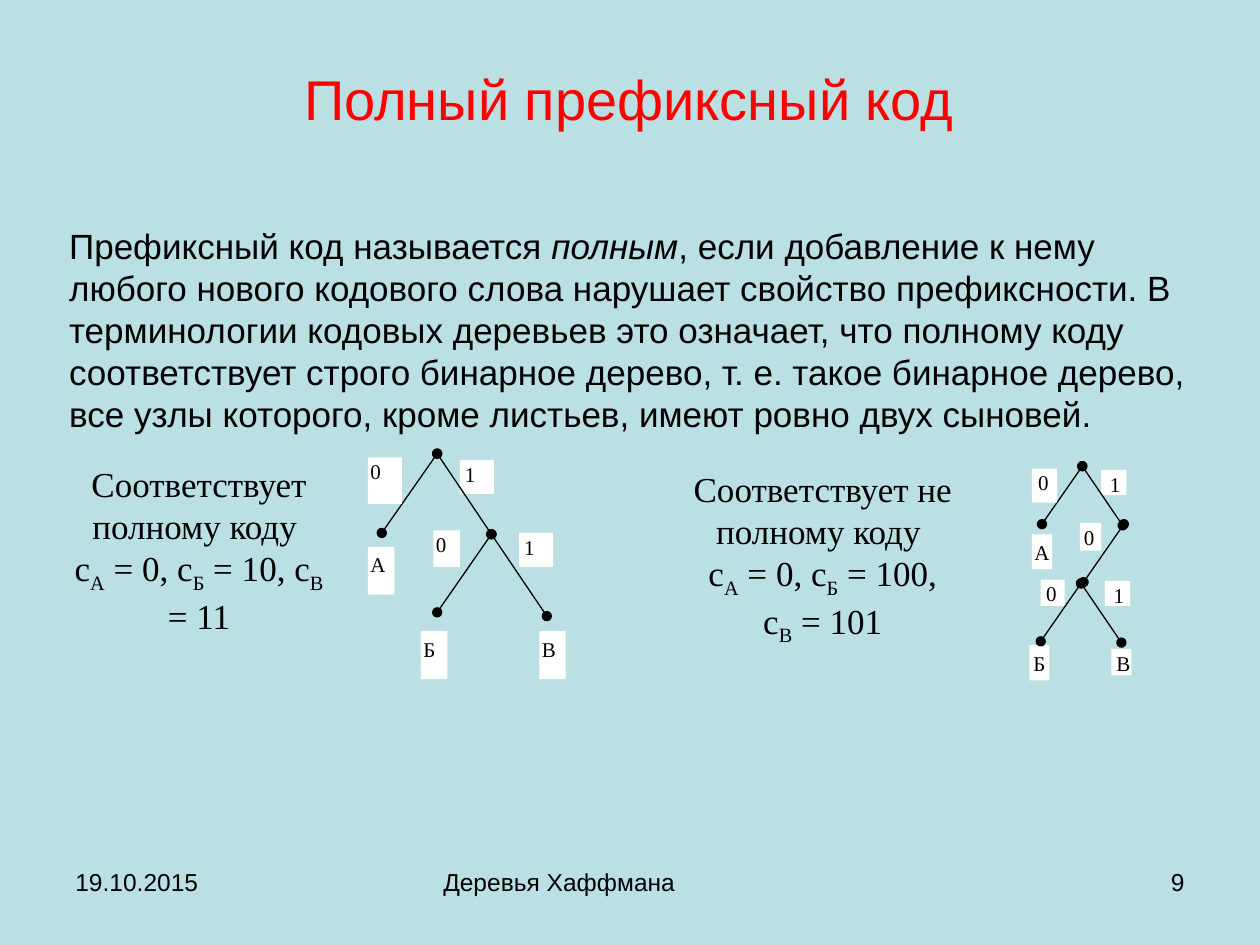
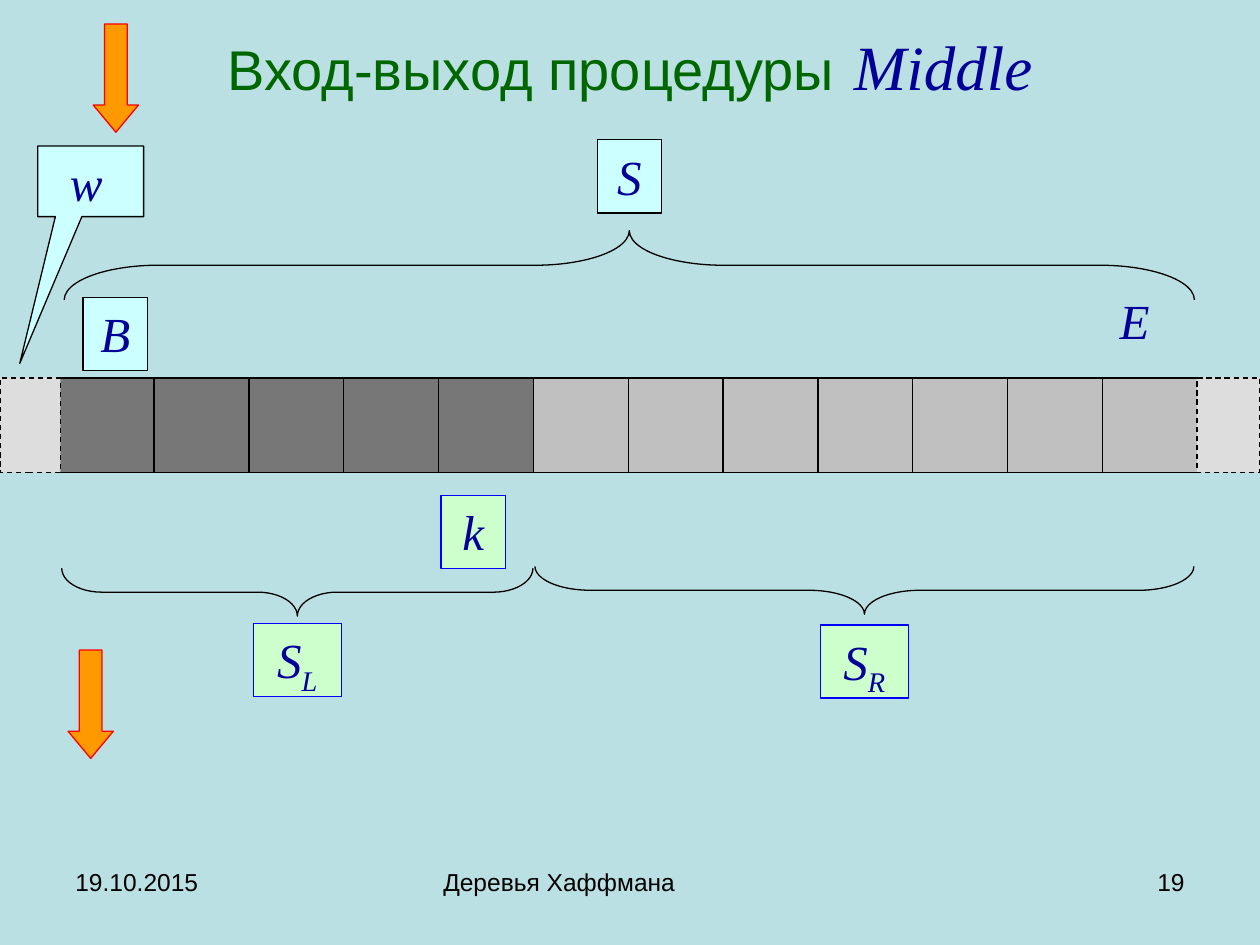
from lxml import etree
from pptx import Presentation
from pptx.dml.color import RGBColor
from pptx.enum.dml import MSO_LINE
from pptx.enum.shapes import MSO_CONNECTOR, MSO_SHAPE as SHAPE
from pptx.enum.text import MSO_ANCHOR as ANCHOR, PP_ALIGN as ALIGN
from pptx.oxml.ns import qn
from pptx.util import Inches, Pt

BACKGROUND = RGBColor(0xBB, 0xE0, 0xE3)
BLACK = RGBColor(0, 0, 0)
WHITE = RGBColor(0xFF, 0xFF, 0xFF)
RED = RGBColor(0xFF, 0, 0)
GREEN = RGBColor(0, 0x66, 0)
NAVY = RGBColor(0, 0, 0x99)
BLUE = RGBColor(0, 0, 0xFF)
ORANGE = RGBColor(0xFF, 0x99, 0)
PALE_CYAN = RGBColor(0xCC, 0xFF, 0xFF)
PALE_GREEN = RGBColor(0xCC, 0xFF, 0xCC)
DARK_GREY = RGBColor(0x77, 0x77, 0x77)
MID_GREY = RGBColor(0xC0, 0xC0, 0xC0)
LIGHT_GREY = RGBColor(0xDD, 0xDD, 0xDD)

SANS = "Arial"
SERIF = "Times New Roman"
LINE_WIDTH = Pt(0.75)

ZERO_INSETS = (0.02, 0.01, 0.04, 0.01)
ONE_INSETS = (0.04, 0.01, 0.02, 0.01)
LEAF_INSETS = (0.02, 0.04, 0.02, 0.04)


def add_run(p, text, size, font=SANS, color=BLACK, italic=False, sub=False):
    r = p.add_run()
    r.text = text
    r.font.size = Pt(size)
    r.font.name = font
    r.font.color.rgb = color
    r.font.italic = italic
    if sub:
        r._r.get_or_add_rPr().set("baseline", "-25000")


def set_frame(sp, anchor=ANCHOR.TOP, insets=(0.1, 0.05, 0.1, 0.05)):
    tf = sp.text_frame
    tf.word_wrap = True
    tf.vertical_anchor = anchor
    tf.margin_left, tf.margin_top, tf.margin_right, tf.margin_bottom = map(Inches, insets)
    return tf


def add_text(slide, box, align=ALIGN.LEFT, anchor=ANCHOR.TOP):
    sp = slide.shapes.add_textbox(*map(Inches, box))
    p = set_frame(sp, anchor).paragraphs[0]
    p.alignment = align
    return p


def add_title(slide, box):
    return add_text(slide, box, ALIGN.CENTER, ANCHOR.MIDDLE)


def add_shape(slide, kind, box, fill=None, line=BLACK, adjustments=(), rotation=0, dashed=False):
    sp = slide.shapes.add_shape(kind, *map(Inches, box))
    sp.shadow.inherit = False
    sp.rotation = rotation
    for i, value in enumerate(adjustments):
        sp.adjustments[i] = value
    if fill is None:
        sp.fill.background()
    else:
        sp.fill.solid()
        sp.fill.fore_color.rgb = fill
    if line is None:
        sp.line.fill.background()
    else:
        sp.line.color.rgb = line
        sp.line.width = LINE_WIDTH
    if dashed:
        sp.line.dash_style = MSO_LINE.DASH
    return sp


def add_edge(slide, start, end):
    edge = slide.shapes.add_connector(MSO_CONNECTOR.STRAIGHT, *map(Inches, start + end))
    edge.line.color.rgb = BLACK
    edge.line.width = LINE_WIDTH
    ln = edge.line._get_or_add_ln()
    for tag in ("a:headEnd", "a:tailEnd"):
        etree.SubElement(ln, qn(tag), type="oval")
    etree.SubElement(edge._element.spPr, qn("a:effectLst"))


def add_node_labels(slide, labels, align):
    for text, box, insets in labels:
        sp = add_shape(slide, SHAPE.RECTANGLE, box, WHITE, None)
        p = set_frame(sp, insets=insets).paragraphs[0]
        p.alignment = align
        add_run(p, text, 12, SERIF)


def add_tree(slide, labels_below, edges, labels_above, align):
    add_node_labels(slide, labels_below, align)
    for start, end in edges:
        add_edge(slide, start, end)
    add_node_labels(slide, labels_above, align)


def add_code_caption(slide, left, top, heading, codes):
    p = add_text(slide, (left, top, 2.26, 1.45), ALIGN.CENTER)
    add_run(p, heading, 20, SERIF)
    p = p._parent.add_paragraph()
    p.alignment = ALIGN.CENTER
    for i, (letter, code) in enumerate(codes):
        add_run(p, "c" if i == 0 else ", c", 20, SERIF)
        add_run(p, letter, 20, SERIF, sub=True)
        add_run(p, f" = {code}", 20, SERIF)


def add_variable(slide, left, top, name, subscript="", fill=None, line=None, width=0.51):
    sp = add_shape(slide, SHAPE.RECTANGLE, (left, top, width, 0.58), fill, line)
    p = set_frame(sp).paragraphs[0]
    p.alignment = ALIGN.CENTER
    add_run(p, name, 28, SERIF, NAVY, True)
    if subscript:
        add_run(p, subscript, 28, SERIF, NAVY, True, True)


def add_slide(prs, number):
    slide = prs.slides.add_slide(prs.slide_layouts[6])
    slide.background.fill.solid()
    slide.background.fill.fore_color.rgb = BACKGROUND
    for text, left, width, align in (
        ("19.10.2015", 0.5, 2.33, ALIGN.LEFT),
        ("Деревья Хаффмана", 3.42, 3.17, ALIGN.LEFT),
        (str(number), 7.17, 2.33, ALIGN.RIGHT),
    ):
        add_run(add_text(slide, (left, 6.83, width, 0.52), align), text, 14)
    return slide


def build_prefix_code(prs):
    slide = add_slide(prs, 9)
    add_run(add_title(slide, (0.5, 0.3, 8.99, 0.95)), "Полный префиксный код", 32, color=RED)
    p = add_text(slide, (0.45, 1.73, 9.15, 1.77))
    add_run(p, "Префиксный код называется ", 20)
    add_run(p, "полным", 20, italic=True)
    add_run(p, ", если добавление к нему любого нового кодового слова нарушает "
               "свойство префиксности. В терминологии кодовых деревьев это означает, "
               "что полному коду соответствует строго бинарное дерево, т. е. такое "
               "бинарное дерево, все узлы которого, кроме листьев, имеют ровно двух "
               "сыновей.", 20)

    root, inner = (3.47, 3.6), (3.9, 4.24)
    add_tree(
        slide,
        [("1", (3.65, 3.65, 0.27, 0.27), ONE_INSETS),
         ("0", (3.44, 4.21, 0.21, 0.29), ZERO_INSETS)],
        [(root, (3.03, 4.23)), (root, inner), (inner, (4.34, 4.89)), (inner, (3.47, 4.86))],
        [("0", (2.92, 3.63, 0.27, 0.37), ZERO_INSETS),
         ("А", (2.92, 4.34, 0.21, 0.38), LEAF_INSETS),
         ("В", (4.28, 5.01, 0.21, 0.38), LEAF_INSETS),
         ("1", (4.12, 4.23, 0.27, 0.27), ONE_INSETS),
         ("Б", (3.34, 5.01, 0.21, 0.38), LEAF_INSETS)],
        ALIGN.LEFT,
    )
    add_code_caption(slide, 0.45, 3.62, "Соответствует полному коду ",
                     [("А", "0"), ("Б", "10"), ("В", "11")])

    root, right, inner = (8.59, 3.7), (8.91, 4.17), (8.58, 4.63)
    add_tree(
        slide,
        [("В", (8.82, 5.15, 0.16, 0.21), ONE_INSETS),
         ("0", (8.26, 4.6, 0.19, 0.21), ZERO_INSETS),
         ("Б", (8.17, 5.12, 0.16, 0.28), LEAF_INSETS),
         ("1", (8.74, 3.73, 0.2, 0.2), ONE_INSETS),
         ("0", (8.57, 4.15, 0.17, 0.22), ZERO_INSETS)],
        [(root, (8.27, 4.16)), (root, right), (inner, (8.9, 5.1)),
         (inner, (8.26, 5.09)), ((8.92, 4.16), (8.6, 4.62))],
        [("0", (8.19, 3.72, 0.2, 0.27), ZERO_INSETS),
         ("А", (8.19, 4.24, 0.16, 0.28), LEAF_INSETS),
         ("1", (8.77, 4.61, 0.2, 0.2), ONE_INSETS)],
        ALIGN.CENTER,
    )
    add_code_caption(slide, 5.4, 3.66, "Соответствует не полному коду ",
                     [("А", "0"), ("Б", "100"), ("В", "101")])


def build_middle_procedure(prs):
    slide = add_slide(prs, 19)
    p = add_title(slide, (0.5, 0.23, 9, 0.54))
    add_run(p, "Вход-выход процедуры", 32, color=GREEN)
    add_run(p, " ", 40)
    add_run(p, "Middle", 36, SERIF, NAVY, True)

    cell_count, left_count = 12, 5
    first, last = 0.47, 8.75
    pitch = (last - first) / (cell_count - 1)
    for i in range(cell_count):
        fill = DARK_GREY if i < left_count else MID_GREY
        add_shape(slide, SHAPE.RECTANGLE, (first + i * pitch, 3, 0.76, 0.75), fill)
    for left, width in ((0, 0.48), (9.5, 0.5)):
        add_shape(slide, SHAPE.RECTANGLE, (left, 3, width, 0.75), LIGHT_GREY, dashed=True)

    for box, rotation, curve in (
        ((4.72, -2.38, 0.55, 8.97), 270, 1.36),
        ((6.67, 2.07, 0.38, 5.23), 90, 1.16),
        ((2.17, 2.83, 0.38, 3.74), 90, 0.83),
    ):
        add_shape(slide, SHAPE.RIGHT_BRACE, box, adjustments=(curve, 0.5), rotation=rotation)

    add_shape(slide, SHAPE.RECTANGULAR_CALLOUT, (0.3, 1.16, 0.84, 0.56), PALE_CYAN,
              adjustments=(-0.67, 2.58))
    add_variable(slide, 0.43, 1.16, "w")
    add_variable(slide, 8.75, 2.26, "E")
    add_variable(slide, 0.66, 2.36, "B", fill=PALE_CYAN, line=BLACK)
    add_variable(slide, 4.74, 1.11, "S", fill=PALE_CYAN, line=BLACK)
    add_variable(slide, 3.5, 3.93, "k", fill=PALE_GREEN, line=BLUE)
    add_variable(slide, 2.01, 4.95, "S", "L", PALE_GREEN, BLUE, 0.7)
    add_variable(slide, 6.51, 4.96, "S", "R", PALE_GREEN, BLUE, 0.7)

    for left, top in ((0.74, 0.19), (0.54, 5.16)):
        add_shape(slide, SHAPE.DOWN_ARROW, (left, top, 0.36, 0.86), ORANGE, RED, (0.5, 0.6))


def main():
    prs = Presentation()
    prs.slide_width, prs.slide_height = Inches(10), Inches(7.5)
    build_prefix_code(prs)
    build_middle_procedure(prs)
    prs.save("out.pptx")


if __name__ == "__main__":
    main()
